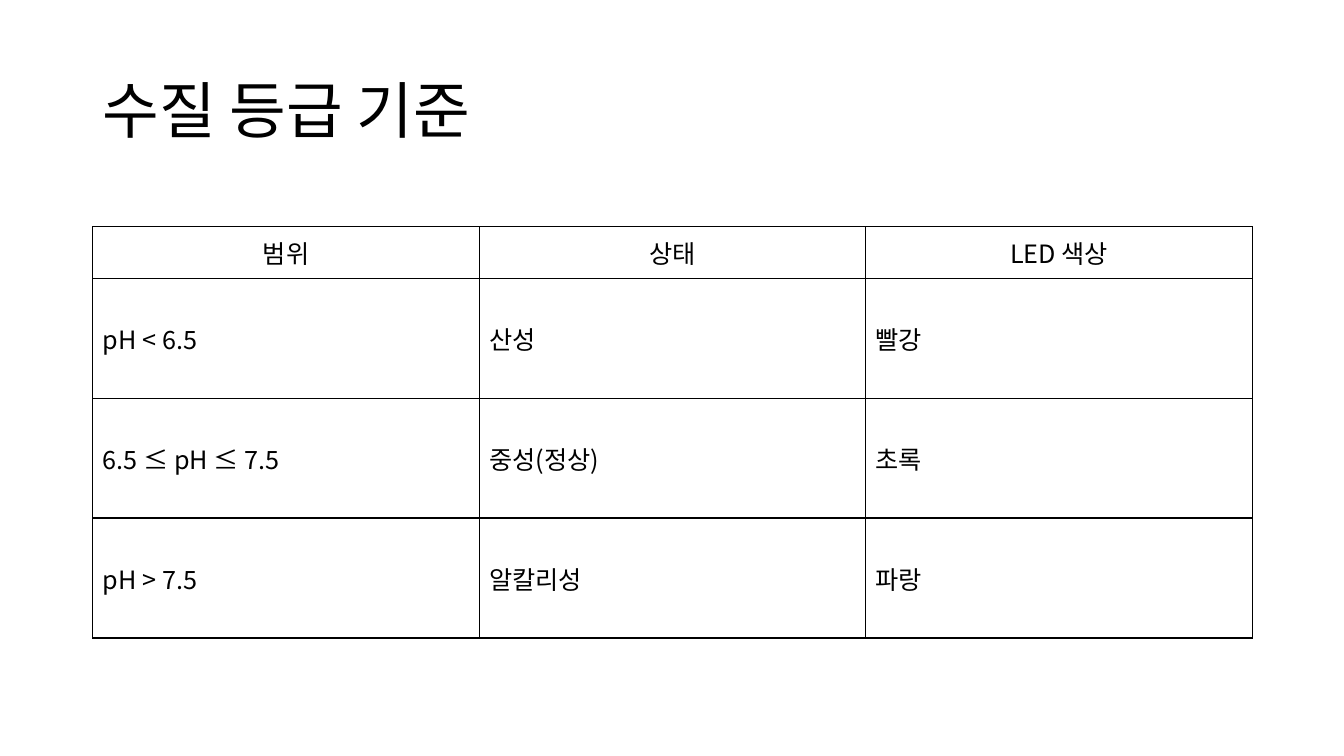
from lxml import etree
from pptx import Presentation
from pptx.dml.color import RGBColor
from pptx.enum.text import MSO_ANCHOR, PP_ALIGN
from pptx.oxml.ns import qn
from pptx.util import Inches, Pt

TITLE = "수질 등급 기준"
GRADES = [
    ("범위", "상태", "LED 색상"),
    ("pH < 6.5", "산성", "빨강"),
    ("6.5 ≤ pH ≤ 7.5", "중성(정상)", "초록"),
    ("pH > 7.5", "알칼리성", "파랑"),
]

FONT = "Noto Sans CJK KR"
BLACK = RGBColor(0, 0, 0)
LEFT, CENTER = PP_ALIGN.LEFT, PP_ALIGN.CENTER
MIDDLE = MSO_ANCHOR.MIDDLE

SLIDE_W, SLIDE_H = Inches(13.33), Inches(7.5)
MARGIN = Inches(0.92)
CONTENT_W = Inches(11.5)
TITLE_TOP, TITLE_H = Inches(0.4), Inches(1.45)
TABLE_TOP = Inches(2.25)
HEADER_H, BODY_H = Inches(0.51), Inches(1.19)


def write(frame, text, size, align=LEFT, line_spacing=None):
    paragraph = frame.paragraphs[0]
    paragraph.alignment = align
    if line_spacing:
        paragraph.line_spacing = line_spacing
    run = paragraph.add_run()
    run.text = text
    run.font.size = Pt(size)
    run.font.color.rgb = BLACK
    run.font.name = FONT
    # Hangul takes its typeface from the East Asian slot
    etree.SubElement(run.font._element, qn("a:ea"), typeface=FONT)


def outline(cell, color=BLACK, width=1):
    """Draw all four borders of a table cell."""
    properties = cell._tc.get_or_add_tcPr()
    for side in ("a:lnL", "a:lnR", "a:lnT", "a:lnB"):
        line = etree.SubElement(properties, qn(side), w=str(Pt(width)))
        fill = etree.SubElement(line, qn("a:solidFill"))
        etree.SubElement(fill, qn("a:srgbClr"), val=str(color))


def add_title(slide):
    frame = slide.shapes.add_textbox(MARGIN, TITLE_TOP, CONTENT_W, TITLE_H).text_frame
    frame.word_wrap = True
    frame.vertical_anchor = MIDDLE
    write(frame, TITLE, 44, line_spacing=0.9)


def add_grades(slide):
    row_heights = [HEADER_H] + [BODY_H] * (len(GRADES) - 1)
    columns = len(GRADES[0])
    table = slide.shapes.add_table(len(GRADES), columns, MARGIN, TABLE_TOP,
                                   CONTENT_W, sum(row_heights)).table
    table.horz_banding = False
    table.first_row = False
    for column in table.columns:
        column.width = CONTENT_W // columns
    for r, grade in enumerate(GRADES):
        table.rows[r].height = row_heights[r]
        for c, text in enumerate(grade):
            cell = table.cell(r, c)
            cell.vertical_anchor = MIDDLE
            outline(cell)
            cell.fill.background()
            write(cell.text_frame, text, 18, align=LEFT if r else CENTER)


def main():
    deck = Presentation()
    deck.slide_width, deck.slide_height = SLIDE_W, SLIDE_H
    slide = deck.slides.add_slide(deck.slide_layouts[6])
    add_title(slide)
    add_grades(slide)
    deck.save("out.pptx")


if __name__ == "__main__":
    main()
